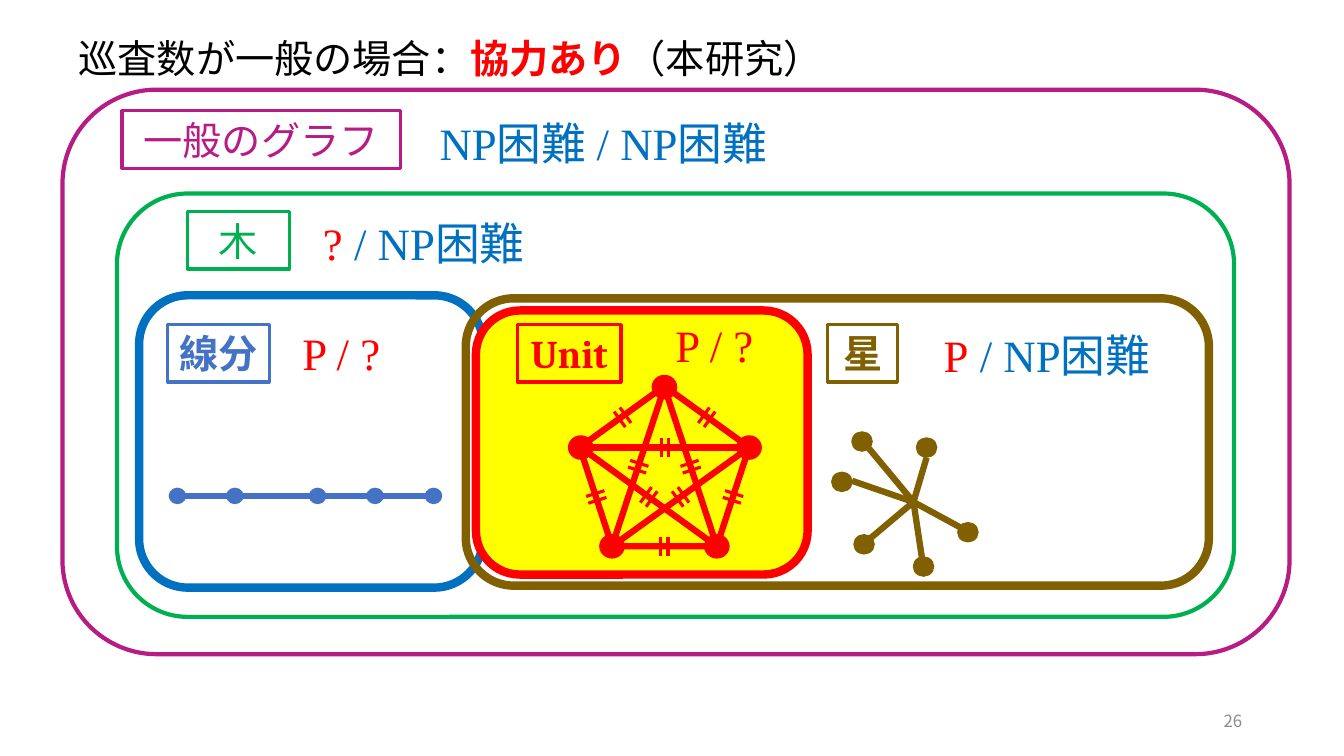
from dataclasses import dataclass
from itertools import combinations
from math import hypot

from lxml import etree
from pptx import Presentation
from pptx.dml.color import RGBColor
from pptx.enum.shapes import MSO_CONNECTOR, MSO_SHAPE
from pptx.enum.text import MSO_ANCHOR, MSO_AUTO_SIZE, PP_ALIGN
from pptx.oxml.ns import qn
from pptx.util import Pt

EMU_PER_PX = 9144  # 100 px to the inch
RECT, ROUNDED = MSO_SHAPE.RECTANGLE, MSO_SHAPE.ROUNDED_RECTANGLE
OVAL, PENTAGON = MSO_SHAPE.OVAL, MSO_SHAPE.REGULAR_PENTAGON
STRAIGHT = MSO_CONNECTOR.STRAIGHT
LEFT, CENTER, RIGHT = PP_ALIGN.LEFT, PP_ALIGN.CENTER, PP_ALIGN.RIGHT
TOP, MIDDLE = MSO_ANCHOR.TOP, MSO_ANCHOR.MIDDLE
NO_AUTOFIT = MSO_AUTO_SIZE.NONE


@dataclass(frozen=True)
class Theme:
    black: str = "000000"
    grey: str = "8C8C8C"
    red: str = "FF0000"
    yellow: str = "FFFF00"
    blue: str = "0070C0"
    segment_blue: str = "4472C4"
    green: str = "00B050"
    purple: str = "B61C83"
    brown: str = "806000"
    gothic: str = "Noto Sans CJK JP"
    roman: str = "Times New Roman"
    serif: str = "Cambria"
    heading: int = 28
    answer: int = 32
    footer: int = 12


def px(*lengths):
    return [round(length * EMU_PER_PX) for length in lengths]


class Board:
    """Draws the elements of one slide in one theme."""

    def __init__(self, slide, theme):
        self.slide, self.theme = slide, theme

    def set_runs(self, frame, runs, size, align, anchor=TOP, wrap=True):
        """Fill a frame with runs of (text, colour, font, bold)."""
        frame.auto_size = NO_AUTOFIT
        frame.word_wrap = wrap
        frame.vertical_anchor = anchor
        paragraph = frame.paragraphs[0]
        paragraph.alignment = align
        for text, color, face, bold in runs:
            run = paragraph.add_run()
            run.text = text
            font = run.font
            font.size, font.bold, font.name = Pt(size), bold, face
            font.color.rgb = RGBColor.from_string(color)
            # East Asian glyphs need their own typeface entry
            east_asian = etree.Element(qn("a:ea"), typeface=face)
            font._element.find(qn("a:latin")).addnext(east_asian)

    def title(self, box, runs):
        heading = self.slide.shapes.title
        heading.left, heading.top, heading.width, heading.height = px(*box)
        self.set_runs(heading.text_frame, runs, self.theme.heading, LEFT,
                      wrap=False)

    def text(self, box, runs, size, align=CENTER, anchor=TOP, wrap=True):
        note = self.slide.shapes.add_textbox(*px(*box))
        self.set_runs(note.text_frame, runs, size, align, anchor, wrap)

    def shape(self, kind, box, line, weight, fill=None):
        figure = self.slide.shapes.add_shape(kind, *px(*box))
        figure.shadow.inherit = False
        figure.line.color.rgb = RGBColor.from_string(line)
        figure.line.width = Pt(weight)
        if fill:
            figure.fill.solid()
            figure.fill.fore_color.rgb = RGBColor.from_string(fill)
        else:
            figure.fill.background()
        return figure

    def label(self, box, text, color, face, bold=False):
        frame = self.shape(RECT, box, color, 2.25).text_frame
        self.set_runs(frame, [(text, color, face, bold)], self.theme.heading,
                      CENTER, MIDDLE)

    def line(self, start, end, color, weight=4.5):
        link = self.slide.shapes.add_connector(STRAIGHT, *px(*start, *end))
        link.line.color.rgb = RGBColor.from_string(color)
        link.line.width = Pt(weight)
        etree.SubElement(link._element.spPr, qn("a:effectLst"))

    def dot(self, center, width, height, color):
        x, y = center
        box = (x - width / 2, y - height / 2, width, height)
        self.shape(OVAL, box, color, 1, color)

    def equal_marks(self, start, end, color):
        """Two short ticks across the middle of an edge."""
        (x1, y1), (x2, y2) = start, end
        length = hypot(x2 - x1, y2 - y1)
        ux, uy = (x2 - x1) / length, (y2 - y1) / length
        for shift in (-3.5, 3.5):
            x, y = (x1 + x2) / 2 + shift * ux, (y1 + y2) / 2 + shift * uy
            self.line((x - 9.5 * uy, y + 9.5 * ux),
                      (x + 9.5 * uy, y - 9.5 * ux), color, 2.25)


def draw_unit_graph(board):
    red = board.theme.red
    corners = [(659, 384), (743, 444), (711, 542), (607, 542), (576, 444)]
    board.shape(PENTAGON, (575, 383, 168, 159), red, 4.5)
    for (i, start), (j, end) in combinations(enumerate(corners), 2):
        if j - i in (2, 3):
            board.line(start, end, red)
        board.equal_marks(start, end, red)
    for corner in corners:
        board.dot(corner, 24, 23, red)


def draw_star_graph(board):
    brown = board.theme.brown
    hub = (906, 498)
    # Each leaf with the end of its spoke
    spokes = {(855, 438): (862, 445), (919, 444): (919, 454),
              (960, 528): (965, 530), (916, 562): (916, 564),
              (857, 540): (855, 541), (835, 478): (845, 477)}
    for tip in spokes.values():
        board.line(hub, tip, brown)
    for leaf in spokes:
        board.dot(leaf, 20, 19, brown)


def draw_segment_graph(board):
    color = board.theme.segment_blue
    stops = [176, 233, 315, 372, 430]
    board.line((stops[0], 492), (stops[-1], 492), color)
    for stop in stops:
        board.dot((stop, 492), 16, 15, color)


def main():
    deck = Presentation()
    deck.slide_width, deck.slide_height = px(1333, 750)
    theme = Theme()
    board = Board(deck.slides.add_slide(deck.slide_layouts[5]), theme)
    gothic, roman = theme.gothic, theme.roman

    # Title
    board.title((68, 29, 766, 57), [
        ("巡査数が一般の場合：", theme.black, gothic, False),
        ("協力あり", theme.red, gothic, True),
        ("（本研究）", theme.black, gothic, False)])

    # Nested graph classes
    for box, color, weight, fill in [
            ((138, 293, 341, 290), theme.blue, 6, None),
            ((462, 296, 737, 285), theme.brown, 6, None),
            ((472, 308, 329, 262), theme.red, 6, theme.yellow),
            ((62, 89, 1217, 560), theme.purple, 3, None),
            ((116, 192, 1108, 420), theme.green, 3, None)]:
        board.shape(ROUNDED, box, color, weight, fill)

    # Class names
    board.label((121, 110, 276, 57), "一般のグラフ", theme.purple, gothic)
    board.label((186, 210, 101, 57), "木", theme.green, gothic)
    board.label((166, 322, 101, 57), "線分", theme.segment_blue, gothic, True)
    board.label((513, 322, 103, 57), "Unit", theme.red, theme.serif, True)
    board.label((821, 322, 69, 57), "星", theme.brown, gothic, True)

    # Example graphs
    draw_unit_graph(board)
    draw_star_graph(board)
    draw_segment_graph(board)

    # Complexity results
    hard = ("困難", theme.blue, gothic, False)
    slash_np = (" / NP", theme.blue, roman, False)
    board.text((394, 110, 409, 64), [
        ("NP", theme.blue, roman, False), ("困難 ", theme.blue, gothic, False),
        ("/ NP", theme.blue, roman, False), hard], theme.answer)
    for box, result in [((291, 209, 259, 64), "?"), ((909, 320, 259, 64), "P")]:
        board.text(box, [(result, theme.red, roman, False), slash_np, hard],
                   theme.answer)
    for box in [(660, 310, 106, 64), (290, 318, 106, 64)]:
        board.text(box, [("P / ?", theme.red, roman, False)], theme.answer,
                   LEFT, wrap=False)

    # Page number
    board.text((942, 695, 300, 40), [("26", theme.grey, gothic, False)],
               theme.footer, RIGHT, MIDDLE)

    deck.save("out.pptx")


if __name__ == "__main__":
    main()
